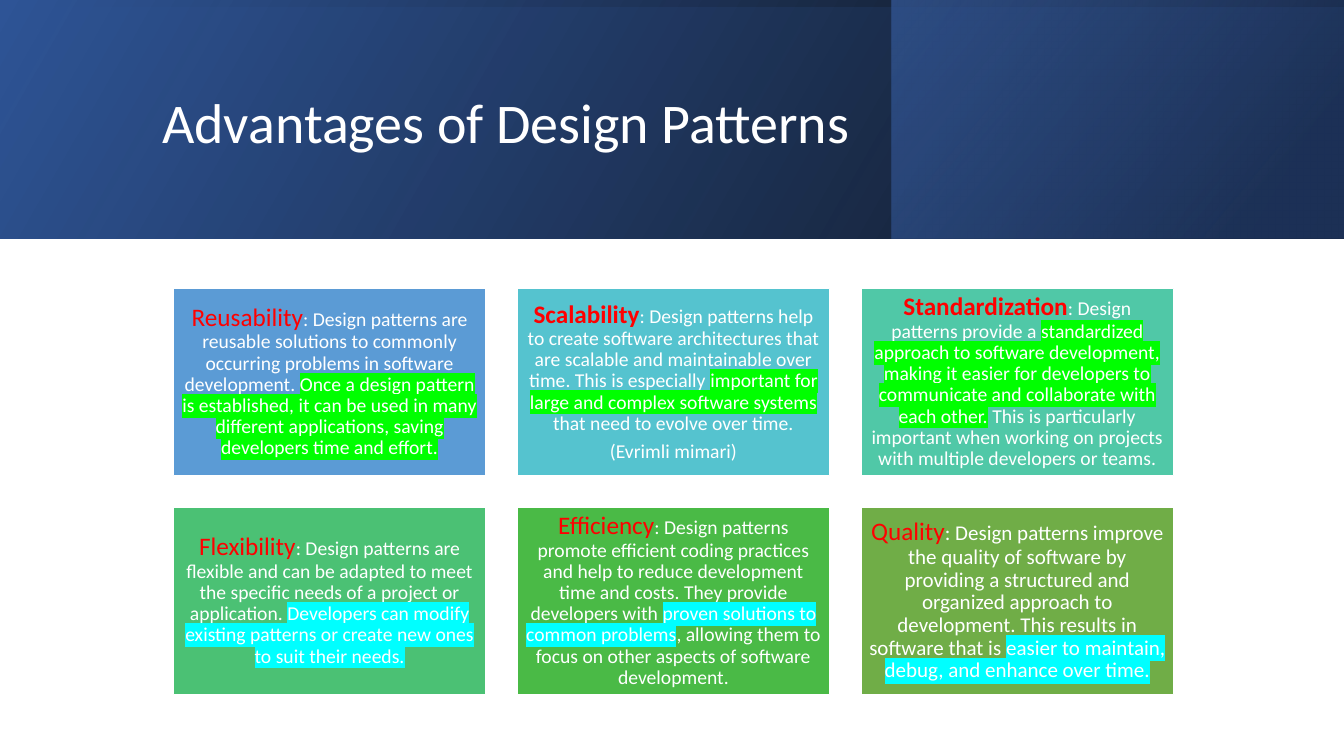
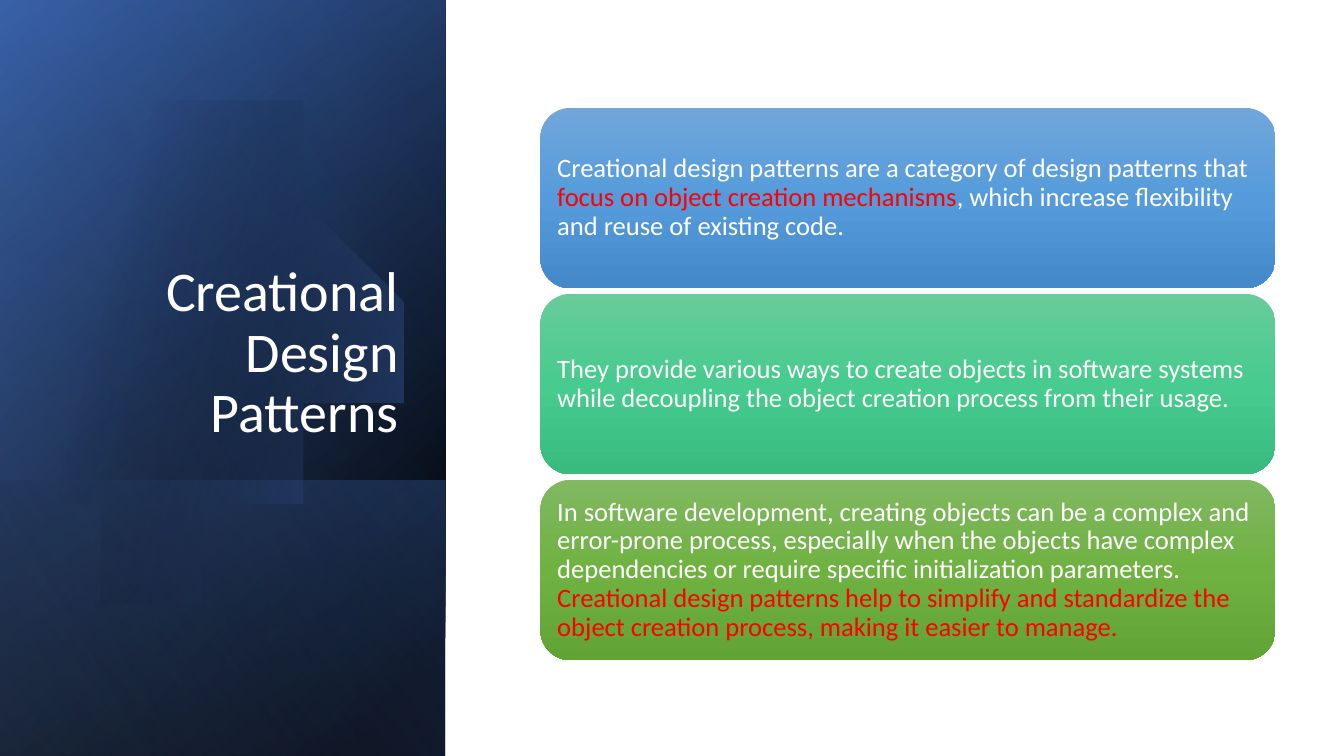
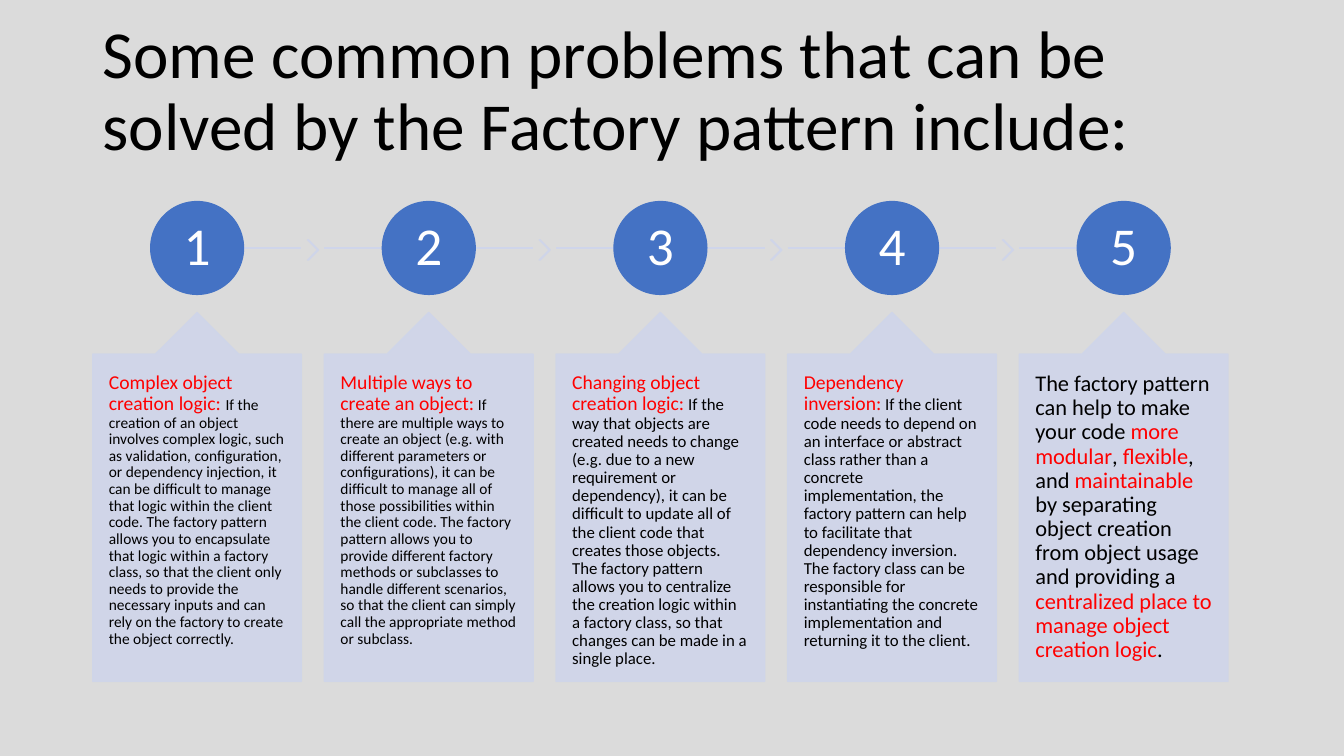
"""Build three slides about software design patterns."""
import math

from lxml import etree
from pptx import Presentation
from pptx.dml.color import RGBColor
from pptx.enum.shapes import MSO_CONNECTOR, MSO_SHAPE
from pptx.enum.text import MSO_ANCHOR, PP_ALIGN
from pptx.oxml.ns import qn
from pptx.util import Inches, Pt

RECT, ROUND, OVAL = MSO_SHAPE.RECTANGLE, MSO_SHAPE.ROUNDED_RECTANGLE, MSO_SHAPE.OVAL
CHEVRON, CALLOUT = MSO_SHAPE.CHEVRON, MSO_SHAPE.UP_ARROW_CALLOUT
LEFT, CENTER, RIGHT = PP_ALIGN.LEFT, PP_ALIGN.CENTER, PP_ALIGN.RIGHT
TOP, MIDDLE, BOTTOM = MSO_ANCHOR.TOP, MSO_ANCHOR.MIDDLE, MSO_ANCHOR.BOTTOM
STRAIGHT = MSO_CONNECTOR.STRAIGHT

FONT = "Calibri"
WHITE, BLACK, RED = "FFFFFF", "000000", "FF0000"
BLUE, NAVY, PALE, GREY = "4472C4", "2F5597", "CFD5EA", "DBDBDB"
LIME, AQUA = "00FF00", "00FFFF"
W, H = 13.33, 7.5


def paint(sp, fill, angle=0, line=None, alpha=100):
    """Fill with a hex colour or with (position, colour, alpha) stops."""
    sp.shadow.inherit = False
    if isinstance(fill, str):
        sp.fill.solid()
        sp.fill.fore_color.rgb = RGBColor.from_string(fill)
    else:
        sp.fill.gradient()
        sp.fill.gradient_angle = 360 - angle
        stops = sp._element.spPr.find(qn("a:gradFill")).find(qn("a:gsLst"))
        for old in list(stops):
            stops.remove(old)
        for pos, colour, opacity in fill:
            gs = etree.SubElement(stops, qn("a:gs"), pos=str(pos * 1000))
            clr = etree.SubElement(gs, qn("a:srgbClr"), val=colour)
            etree.SubElement(clr, qn("a:alpha"), val=str(opacity * 1000))
    if line:
        sp.line.color.rgb = RGBColor.from_string(line)
        sp.line.width = Pt(1)
    else:
        sp.line.fill.background()
    if alpha < 100:
        for clr in sp._element.spPr.iter(qn("a:srgbClr")):
            etree.SubElement(clr, qn("a:alpha"), val=str(alpha * 1000))


def write(sp, paragraphs, align=LEFT, anchor=MIDDLE, mx=0.1, my=0.05, after=0):
    """Set paragraphs of (text, size, colour, highlight, bold) runs."""
    tf = sp.text_frame
    tf.word_wrap = True
    tf.vertical_anchor = anchor
    tf.margin_left = tf.margin_right = Inches(mx)
    tf.margin_top = tf.margin_bottom = Inches(my)
    for i, runs in enumerate(paragraphs):
        p = tf.add_paragraph() if i else tf.paragraphs[0]
        p.alignment, p.line_spacing, p.space_after = align, 0.9, Pt(after)
        for text, size, colour, highlight, bold in runs:
            r = p.add_run()
            r.text = text
            r.font.size, r.font.bold = Pt(size), bold
            r.font.color.rgb = RGBColor.from_string(colour)
            if highlight:
                mark = etree.SubElement(r._r.get_or_add_rPr(), qn("a:highlight"))
                etree.SubElement(mark, qn("a:srgbClr"), val=highlight)
            r.font.name = FONT


prs = Presentation()
prs.slide_width, prs.slide_height = Inches(W), Inches(H)
slides = [prs.slides.add_slide(prs.slide_layouts[6]) for _ in range(3)]

side, lower = W * 0.3315, H * 0.635
panels = [
    (0, 0, 0, W, 2.37, 210, [(0, BLACK, 96), (100, NAVY, 100)]),
    (0, 8.84, 0, W - 8.84, 2.37, 220, [(19, "203864", 68), (100, BLUE, 48)]),
    (0, 0, 0.07, W, 2.3, 100, [(0, NAVY, 16), (100, NAVY, 16)]),
    (1, 0, 0, side, H, 220, [(8, BLACK, 100), (100, NAVY, 100)]),
    (1, 0, 0, side, H, 240, [(0, BLACK, 0), (99, BLUE, 46)]),
    (1, 0, lower, side, H - lower, 140, [(2, BLUE, 29), (100, BLACK, 30)]),
    (1, 0, 0, side, H, 150, [(0, BLACK, 0), (99, "8FAADC", 11)]),
]
for n, x, y, w, h, angle, stops in panels:
    sp = slides[n].shapes.add_shape(RECT, Inches(x), Inches(y), Inches(w), Inches(h))
    paint(sp, stops, angle)

cx, cy, radius = 1.43, 3.38, 2.29
limit = math.acos(-cx / radius)
turns = [limit * (k / 40 - 1) for k in range(81)]
arc = [(cx + radius * math.cos(t), cy + radius * math.sin(t)) for t in turns]
fb = slides[1].shapes.build_freeform(*arc[0], scale=Inches(1))
fb.add_line_segments(arc[1:], close=True)
paint(fb.convert_to_shape(), [(29, BLACK, 0), (100, BLUE, 43)], 14)

titles = [
    ("Advantages of Design Patterns", 1.51, 0.38, 10.63, 1.72, 40, WHITE, LEFT, MIDDLE),
    ("Creational Design Patterns", 0.64, 1.84, 3.41, 2.62, 40, WHITE, RIGHT, BOTTOM),
    ("Some common problems that can be solved by the Factory pattern include:",
     0.92, 0.17, 11.5, 1.5, 48, BLACK, LEFT, MIDDLE),
]
for s, (text, x, y, w, h, size, colour, align, anchor) in zip(slides, titles):
    sp = s.shapes.add_textbox(Inches(x), Inches(y), Inches(w), Inches(h))
    write(sp, [[(text, size, colour, None, False)]], align, anchor)

s = slides[0]
advantages = [
    ("5B9BD5", "Reusability", False, 14, LIME,
     ": Design patterns are reusable solutions to commonly occurring problems in "
     "software development. ",
     "Once a design pattern is established, it can be used in many different "
     "applications, saving developers time and effort.", "", ""),
    ("55C3CF", "Scalability", True, 14, LIME,
     ": Design patterns help to create software architectures that are scalable and "
     "maintainable over time. This is especially ",
     "important for large and complex software systems ",
     "that need to evolve over time.", "(Evrimli mimari)"),
    ("50C8A7", "Standardization", True, 14, LIME,
     ": Design patterns provide a ",
     "standardized approach to software development, making it easier for developers "
     "to communicate and collaborate with each other.",
     " This is particularly important when working on projects with multiple "
     "developers or teams.", ""),
    ("4BC174", "Flexibility", False, 14, AQUA,
     ": Design patterns are flexible and can be adapted to meet the specific needs of "
     "a project or application. ",
     "Developers can modify existing patterns or create new ones to suit their needs.",
     "", ""),
    ("4ABA46", "Efficiency", False, 14, AQUA,
     ": Design patterns promote efficient coding practices and help to reduce "
     "development time and costs. They provide developers with ",
     "proven solutions to common problems",
     ", allowing them to focus on other aspects of software development.", ""),
    ("70AD47", "Quality", False, 15, AQUA,
     ": Design patterns improve the quality of software by providing a structured and "
     "organized approach to development. This results in software that is ",
     "easier to maintain, debug, and enhance over time.", "", ""),
]
for i, (fill, name, bold, size, mark, intro, key, rest, note) in enumerate(advantages):
    row, col = divmod(i, 3)
    sp = s.shapes.add_shape(RECT, Inches(1.72 + col * 3.41), Inches(2.86 + row * 2.17),
                            Inches(3.1), Inches(1.86))
    paint(sp, fill, line=WHITE)
    runs = [(name, 18, RED, None, bold), (intro, size, WHITE, None, False),
            (key, size, WHITE, mark, False)]
    if rest:
        runs.append((rest, size, WHITE, None, False))
    paragraphs = [runs]
    if note:
        paragraphs.append([(note, size, WHITE, None, False)])
    write(sp, paragraphs, CENTER, mx=0.07, my=0.07, after=5)

s = slides[1]
facts = [
    (("71A6DB", "559BDB", "448ACA"),
     [("Creational design patterns are a category of design patterns that ", WHITE),
      ("focus on object creation mechanisms", RED),
      (", which increase flexibility and reuse of existing code.", WHITE)]),
    (("67CC9A", "47CB8E", "39BB7F"),
     [("They provide various ways to create objects in software systems while "
       "decoupling the object creation process from their usage.", WHITE)]),
    (("81B861", "6FB242", "62A336"),
     [("In software development, creating objects can be a complex and error-prone "
       "process, especially when the objects have complex dependencies or require "
       "specific initialization parameters. ", WHITE),
      ("Creational design patterns help to simplify and standardize the object "
       "creation process, making it easier to manage.", RED)]),
]
for row, (colours, runs) in enumerate(facts):
    sp = s.shapes.add_shape(ROUND, Inches(5.36), Inches(1.07 + row * 1.845),
                            Inches(7.29), Inches(1.79))
    paint(sp, [(50 * k, colour, 100) for k, colour in enumerate(colours)], 90)
    write(sp, [[(text, 19, colour, None, False) for text, colour in runs]],
          mx=0.08, my=0.08, after=7)

s = slides[2]
s.background.fill.solid()
s.background.fill.fore_color.rgb = RGBColor.from_string(GREY)
problems = [
    [("Complex object creation logic: ", 14, RED),
     ("If the creation of an object involves complex logic, such as validation, "
      "configuration, or dependency injection, it can be difficult to manage that logic "
      "within the client code. The factory pattern allows you to encapsulate that logic "
      "within a factory class, so that the client only needs to provide the necessary "
      "inputs and can rely on the factory to create the object correctly.", 11, BLACK)],
    [("Multiple ways to create an object:", 14, RED),
     (" If there are multiple ways to create an object (e.g. with different parameters "
      "or configurations), it can be difficult to manage all of those possibilities "
      "within the client code. The factory pattern allows you to provide different "
      "factory methods or subclasses to handle different scenarios, so that the client "
      "can simply call the appropriate method or subclass.", 11, BLACK)],
    [("Changing object creation logic:", 14, RED),
     (" If the way that objects are created needs to change (e.g. due to a new "
      "requirement or dependency), it can be difficult to update all of the client code "
      "that creates those objects. The factory pattern allows you to centralize the "
      "creation logic within a factory class, so that changes can be made in a single "
      "place.", 12, BLACK)],
    [("Dependency inversion:", 14, RED),
     (" If the client code needs to depend on an interface or abstract class rather than "
      "a concrete implementation, the factory pattern can help to facilitate that "
      "dependency inversion. The factory class can be responsible for instantiating the "
      "concrete implementation and returning it to the client.", 12, BLACK)],
    [("The factory pattern can help to make your code ", 16, BLACK),
     ("more modular", 16, RED), (", ", 16, BLACK), ("flexible", 16, RED),
     (", and ", 16, BLACK), ("maintainable", 16, RED),
     (" by separating object creation from object usage and providing a ", 16, BLACK),
     ("centralized place to manage object creation logic", 16, RED), (".", 16, BLACK)],
]
col_w, pitch, dot, last = 2.07, 2.2975, 0.92, len(problems) - 1
for i, runs in enumerate(problems):
    x = 0.92 + i * pitch
    mid = x + col_w / 2
    start, end = (x if i else mid), (x + col_w if i < last else mid)
    cxn = s.shapes.add_connector(STRAIGHT, Inches(start), Inches(2.46),
                                 Inches(end), Inches(2.46))
    cxn.line.color.rgb = RGBColor.from_string(PALE)
    cxn.line.width = Pt(1)
    etree.SubElement(cxn._element.spPr, qn("a:effectLst"))
    if i < last:
        sp = s.shapes.add_shape(CHEVRON, Inches(x + 2.13), Inches(2.38),
                                Inches(0.11), Inches(0.2))
        sp.adjustments[0] = 0.9
        paint(sp, PALE, line=PALE, alpha=90)
    sp = s.shapes.add_shape(OVAL, Inches(mid - dot / 2), Inches(2), Inches(dot), Inches(dot))
    paint(sp, BLUE, line=BLUE)
    write(sp, [[(str(i + 1), 38, WHITE, None, False)]], CENTER, mx=0.04, my=0.04)
    sp = s.shapes.add_shape(CALLOUT, Inches(x), Inches(3.1), Inches(col_w), Inches(3.66))
    for k, value in enumerate((0.5, 0.2, 0.2, 1)):
        sp.adjustments[k] = value
    paint(sp, PALE, line=PALE, alpha=90)
    write(sp, [[(*run, None, False) for run in runs]], anchor=TOP, mx=0.16, my=0.18)

prs.save("out.pptx")
